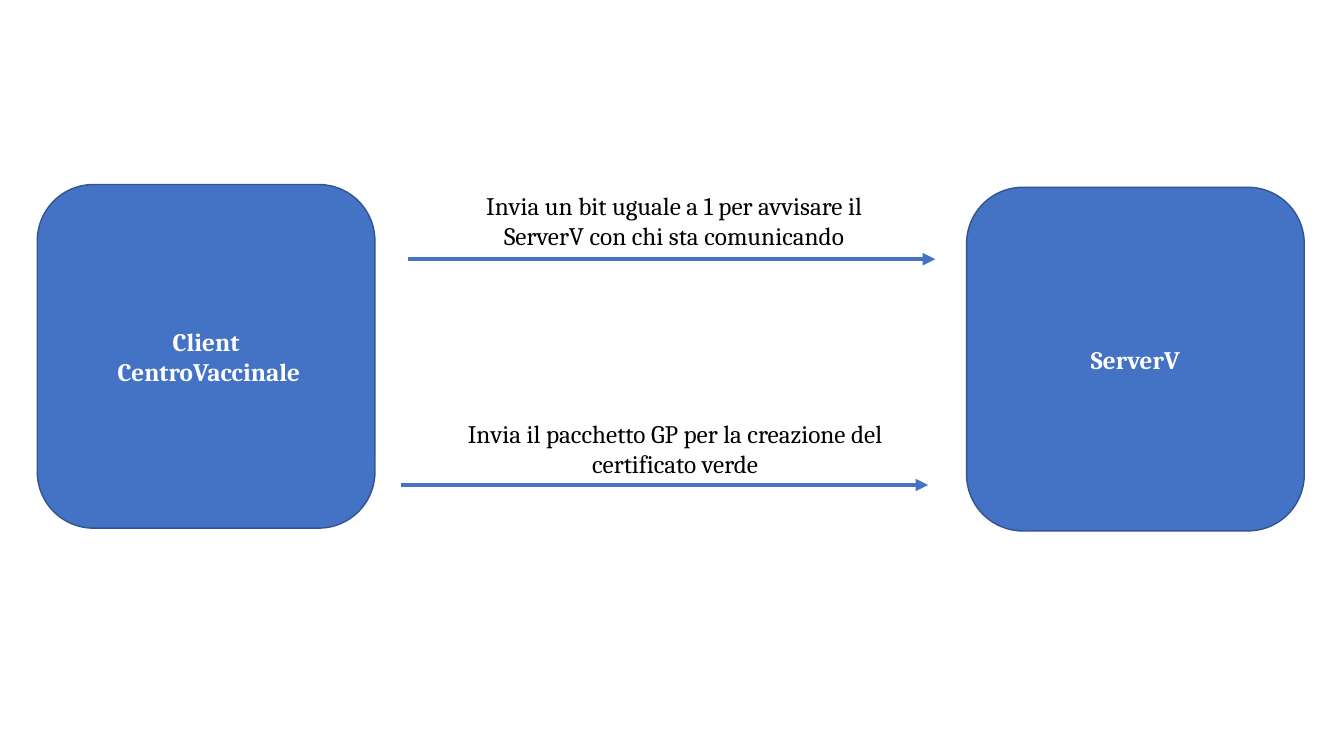
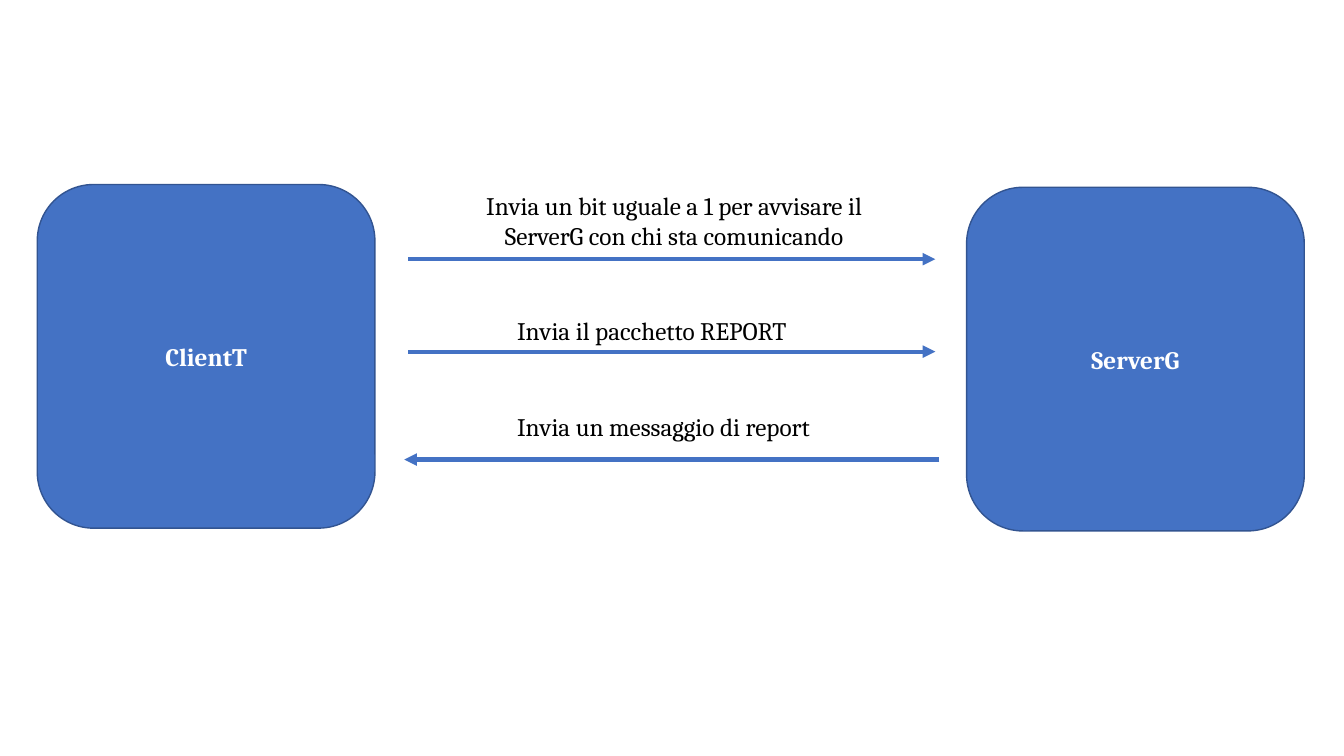
from lxml.etree import SubElement
from pptx import Presentation
from pptx.dml.color import RGBColor
from pptx.enum.shapes import MSO_CONNECTOR, MSO_SHAPE
from pptx.enum.text import MSO_ANCHOR, MSO_AUTO_SIZE, PP_ALIGN
from pptx.oxml.ns import qn
from pptx.util import Cm, Pt

BLUE = RGBColor(0x44, 0x72, 0xC4)
DARK_BLUE = RGBColor(0x32, 0x54, 0x91)
WHITE = RGBColor(0xFF, 0xFF, 0xFF)
BLACK = RGBColor(0x00, 0x00, 0x00)
FONT = "Cambria"
TEXT_SIZE = Pt(18)


def add_text(text_frame, lines, color, alignment, bold=False):
    """Write the lines as runs of one paragraph, separated by line breaks."""
    text_frame.word_wrap = True
    paragraph = text_frame.paragraphs[0]
    paragraph.alignment = alignment
    for index, line in enumerate(lines):
        if index:
            paragraph.add_line_break()
        run = paragraph.add_run()
        run.text = line
        run.font.name = FONT
        run.font.size = TEXT_SIZE
        run.font.bold = bold
        run.font.color.rgb = color


def add_node(slide, left, top, lines):
    """Add a rounded box that stands for a client or a server."""
    shape = slide.shapes.add_shape(
        MSO_SHAPE.ROUNDED_RECTANGLE, Cm(left), Cm(top), Cm(8.51), Cm(8.66))
    shape.shadow.inherit = False
    shape.fill.solid()
    shape.fill.fore_color.rgb = BLUE
    shape.line.color.rgb = DARK_BLUE
    shape.line.width = Pt(1)
    shape.text_frame.vertical_anchor = MSO_ANCHOR.MIDDLE
    add_text(shape.text_frame, lines, WHITE, PP_ALIGN.CENTER, bold=True)


def add_message(slide, left, top, width, height, text, alignment):
    """Add the label of a message."""
    label = slide.shapes.add_textbox(Cm(left), Cm(top), Cm(width), Cm(height))
    label.text_frame.auto_size = MSO_AUTO_SIZE.SHAPE_TO_FIT_TEXT
    add_text(label.text_frame, [text], BLACK, alignment)


def add_long_message(slide, left, top, width, text):
    """Add a centred label of two lines."""
    add_message(slide, left, top, width, 1.8, text, PP_ALIGN.CENTER)


def add_short_message(slide, top, text):
    """Add a left-aligned label of one line."""
    add_message(slide, 12.78, top, 10.29, 1.02, text, PP_ALIGN.LEFT)


def add_arrow(slide, y, start=10.29, end=23.57):
    """Add a horizontal arrow that points to its end."""
    connector = slide.shapes.add_connector(
        MSO_CONNECTOR.STRAIGHT, Cm(start), Cm(y), Cm(end), Cm(y))
    connector.line.color.rgb = BLUE
    connector.line.width = Pt(3)
    properties = connector._element.spPr
    SubElement(properties.find(qn("a:ln")), qn("a:tailEnd"), type="triangle")
    SubElement(properties, qn("a:effectLst"))


def add_exchange(presentation, client_lines, server):
    """Add a slide with a client, a server and the opening message."""
    slide = presentation.slides.add_slide(presentation.slide_layouts[6])
    add_node(slide, 0.94, 4.65, client_lines)
    add_node(slide, 24.36, 4.72, [server])
    add_long_message(
        slide, 11.53, 4.67, 10.92,
        f"Invia un bit uguale a 1 per avvisare il {server} con chi sta comunicando")
    add_arrow(slide, 6.53)
    return slide


def add_vaccination_slide(presentation):
    """Add the exchange between the vaccination centre and ServerV."""
    slide = add_exchange(presentation, ["Client", " CentroVaccinale"], "ServerV")
    add_long_message(
        slide, 10.92, 10.41, 12.19,
        "Invia il pacchetto GP per la creazione del certificato verde")
    add_arrow(slide, 12.22, 10.11, 23.39)


def add_report_slide(presentation):
    """Add the exchange between ClientT and ServerG."""
    slide = add_exchange(presentation, ["ClientT"], "ServerG")
    add_short_message(slide, 7.82, "Invia il pacchetto REPORT")
    add_arrow(slide, 8.86)
    add_short_message(slide, 10.24, "Invia un messaggio di report")
    add_arrow(slide, 11.58, 23.67, 10.19)


def main():
    """Build and save the presentation."""
    presentation = Presentation()
    presentation.slide_width = Cm(33.87)
    presentation.slide_height = Cm(19.05)
    add_vaccination_slide(presentation)
    add_report_slide(presentation)
    presentation.save("out.pptx")


main()
